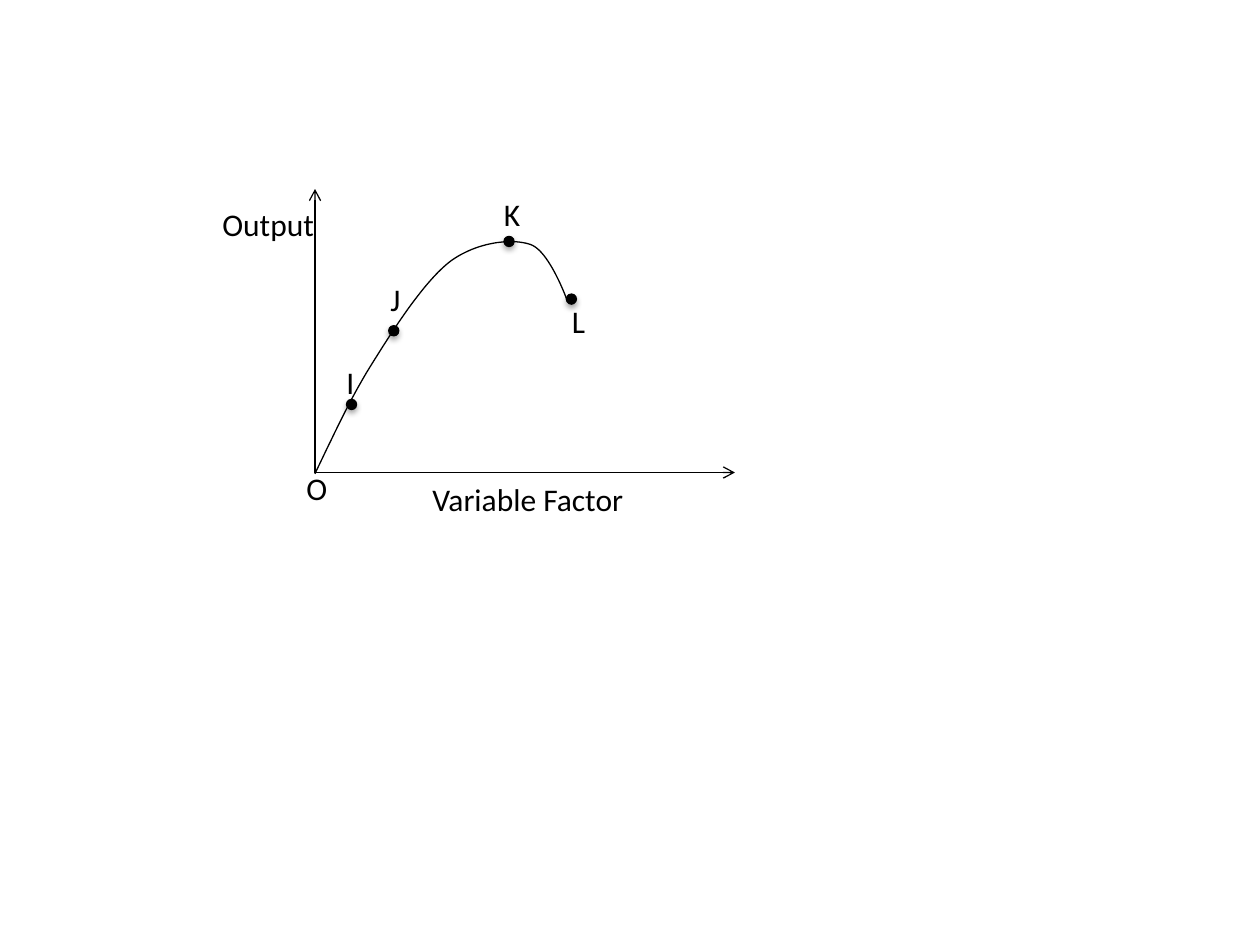
import pptx
import pptx.util
import pptx.dml.color
import pptx.enum.shapes
import pptx.enum.text
import pptx.oxml
import pptx.oxml.ns
import lxml.etree

BLACK = pptx.dml.color.RGBColor(0, 0, 0)
WIDTH = pptx.util.Inches(10)
HEIGHT = pptx.util.Inches(7.5)
FONT = "Calibri"
FONT_SIZE = pptx.util.Pt(18)
LINE_WIDTH = pptx.util.Pt(0.75)
DOT_SIZE = 0.8
LABEL_HEIGHT = 5.33
STEPS = 24

# Positions are percentages of the slide's width and height.
ORIGIN = (25, 50)
AXIS_ENDS = [(25, 20), (58.33, 50)]
CURVE_START = (25, 50.13)
CURVE_PIECES = [
    [(26.5, 46), (27.9, 41.87), (29.7, 38.13)],
    [(31.5, 34.27), (33.8, 29.6), (35.8, 27.6)],
    [(37.9, 25.6), (40.6, 25.2), (42.1, 25.87)],
    [(43.6, 26.53), (45, 31.73), (45, 31.73)],
]
DOTS = [(27.9, 42.8), (31.25, 35), (40.4, 25.55), (45.35, 31.65)]
LABELS = [
    ("Variable Factor", 33.33, 50.13, 17.9),
    ("O", 23.33, 48.93, 3.7),
    ("Output", 16.67, 21.07, 9.4),
    ("I", 26.5, 37.73, 2.7),
    ("J", 30, 28.93, 2.8),
    ("K", 39, 20, 3.3),
    ("L", 44.4, 31.33, 3.1),
]


def across(share):
    return round(WIDTH * share / 100)


def down(share):
    return round(HEIGHT * share / 100)


def to_slide(point):
    return across(point[0]), down(point[1])


def draw_line(line):
    line.color.rgb = BLACK
    line.width = LINE_WIDTH


def bezier(points, t):
    weights = ((1 - t) ** 3, 3 * t * (1 - t) ** 2, 3 * t ** 2 * (1 - t), t ** 3)
    return tuple(sum(w * p[axis] for w, p in zip(weights, points)) for axis in (0, 1))


def curve_points():
    start = CURVE_START
    for piece in CURVE_PIECES:
        for step in range(1, STEPS + 1):
            yield to_slide(bezier([start, *piece], step / STEPS))
        start = piece[-1]


def add_axis(slide, end):
    axis = slide.shapes.add_connector(
        pptx.enum.shapes.MSO_CONNECTOR.STRAIGHT, *to_slide(ORIGIN), *to_slide(end)
    )
    draw_line(axis.line)
    properties = axis._element.spPr
    arrow = lxml.etree.SubElement(
        axis.line._get_or_add_ln(), pptx.oxml.ns.qn("a:tailEnd")
    )
    arrow.set("type", "arrow")
    lxml.etree.SubElement(properties, pptx.oxml.ns.qn("a:effectLst"))


def add_curve(slide):
    builder = slide.shapes.build_freeform(*to_slide(CURVE_START))
    builder.add_line_segments(list(curve_points()), close=False)
    curve = builder.convert_to_shape()
    curve.fill.background()
    curve.shadow.inherit = False
    draw_line(curve.line)


def add_dot(slide, center):
    x, y = to_slide(center)
    size = across(DOT_SIZE)
    dot = slide.shapes.add_shape(
        pptx.enum.shapes.MSO_SHAPE.OVAL, x - size // 2, y - size // 2, size, size
    )
    dot.fill.solid()
    dot.fill.fore_color.rgb = BLACK
    draw_line(dot.line)


def add_label(slide, text, left, top, width):
    label = slide.shapes.add_textbox(
        across(left), down(top), across(width), down(LABEL_HEIGHT)
    )
    frame = label.text_frame
    frame.word_wrap = False
    frame.auto_size = pptx.enum.text.MSO_AUTO_SIZE.SHAPE_TO_FIT_TEXT
    frame.text = text
    font = frame.paragraphs[0].runs[0].font
    font.name = FONT
    font.size = FONT_SIZE
    font.color.rgb = BLACK


def main():
    deck = pptx.Presentation()
    deck.slide_width = WIDTH
    deck.slide_height = HEIGHT
    slide = deck.slides.add_slide(deck.slide_layouts[6])
    for end in AXIS_ENDS:
        add_axis(slide, end)
    add_curve(slide)
    for center in DOTS:
        add_dot(slide, center)
    for label in LABELS:
        add_label(slide, *label)
    deck.save("out.pptx")


if __name__ == "__main__":
    main()
